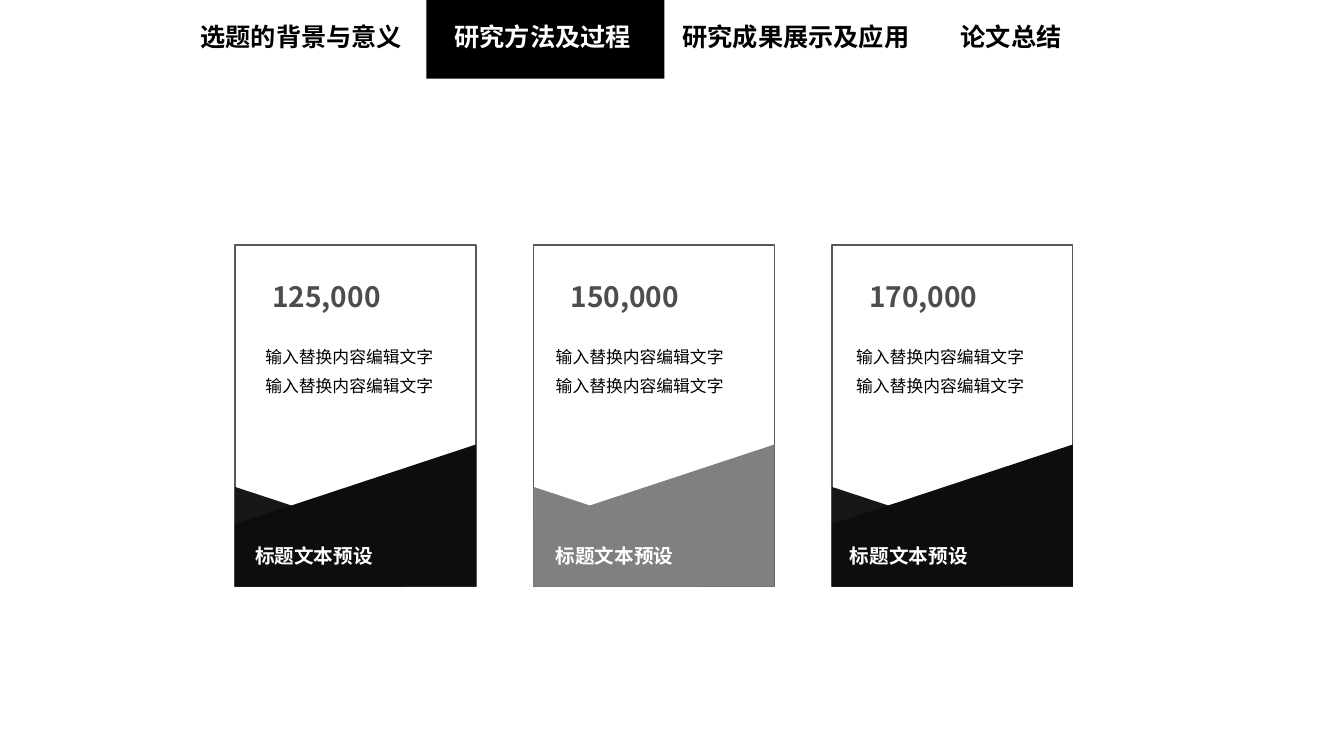
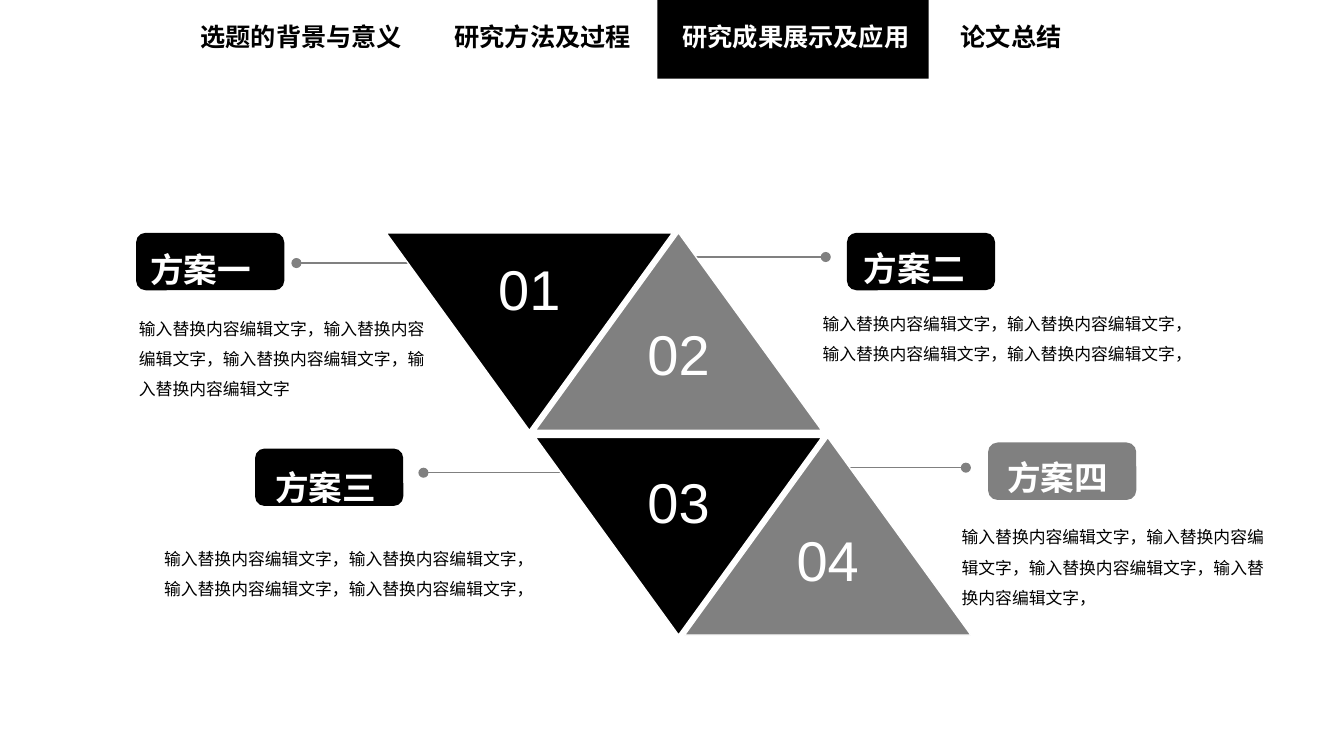
"""Build a two-slide thesis deck: three figure cards and a four-triangle plan."""
from dataclasses import dataclass

from lxml import etree
from pptx import Presentation
from pptx.dml.color import RGBColor
from pptx.enum import shapes, text
from pptx.oxml import ns
from pptx.util import Inches, Pt

PHRASE = "输入替换内容编辑文字"
SENTENCE = "，".join([PHRASE] * 4)

TABS = [
    {"label": "选题的背景与意义", "left": 1.89, "width": 2.24},
    {"label": "研究方法及过程", "left": 4.41, "width": 1.97, "band": (4.23, 2.36)},
    {"label": "研究成果展示及应用", "left": 6.67, "width": 2.47, "band": (6.52, 2.69)},
    {"label": "论文总结", "left": 9.43, "width": 1.21},
]

CARDS = [
    {"figure": "125,000", "fold": "181717", "base": "0D0D0D", "title_inset": 0.2, "body_inset": 0.06},
    {"figure": "150,000", "fold": "808080", "base": "808080", "title_inset": 0.22, "body_inset": -0.02},
    {"figure": "170,000", "fold": "181717", "base": "0D0D0D", "title_inset": 0.18, "body_inset": 0},
]
CARD_TITLE = "标题文本预设"
CARD_LEFT, CARD_TOP, CARD_WIDTH, CARD_HEIGHT, CARD_PITCH = 2.33, 2.43, 2.39, 3.39, 2.96
FOLD = [(0, 2.4), (1.67, 2.95), (1.67, 3.39), (0, 3.39)]
BASE = [(2.39, 1.98), (0, 2.77), (0, 3.39), (2.39, 3.39)]

TRIANGLE_WIDTH, TRIANGLE_HEIGHT = 2.84, 1.96
TRIANGLE_LEFT, TRIANGLE_TOP, STEP, ROW_PITCH = 3.83, 2.31, 1.48, 2.03
TRIANGLES = [
    {"label": "01", "column": 0, "row": 0, "drop": 0.17},
    {"label": "02", "column": 1, "row": 0, "drop": 0.81},
    {"label": "03", "column": 1, "row": 1, "drop": 0.25},
    {"label": "04", "column": 2, "row": 1, "drop": 0.82},
]

PLANS = [
    {"name": "方案一", "pill": (1.35, 2.31), "name_at": (1.39, 2.27), "dot": (2.94, 2.61), "reach": 1,
     "body": SENTENCE, "body_at": (1.28, 3.01, 3.12, 0.97)},
    {"name": "方案二", "pill": (8.4, 2.31), "name_at": (8.47, 2.26), "dot": (8.19, 2.55), "reach": -1,
     "body": SENTENCE + "，", "body_at": (8.06, 2.96, 3.8, 0.97)},
    {"name": "方案三", "pill": (2.53, 4.45), "name_at": (2.63, 4.43), "dot": (4.2, 4.69), "reach": 1,
     "body": SENTENCE + "，", "body_at": (1.53, 5.29, 3.8, 1.01)},
    {"name": "方案四", "pill": (9.8, 4.39), "name_at": (9.89, 4.33), "dot": (9.58, 4.64), "reach": -1,
     "body": SENTENCE + "，", "body_at": (9.44, 5.08, 3.23, 1.01), "color": "808080"},
]
PILL_SIZE, NAME_SIZE, DOT = (1.47, 0.57), (1.26, 0.53), 0.1


@dataclass(frozen=True)
class Theme:
    black: str = "000000"
    white: str = "FFFFFF"
    gray: str = "808080"
    frame: str = "53585F"
    figure: str = "4D4E4C"
    chinese: str = "Noto Sans CJK SC"
    latin: str = "Arial"
    body: int = 12
    card_title: int = 14
    tab: int = 18
    card_figure: int = 20
    plan: int = 24
    number: int = 40


THEME = Theme()


def set_values(target, values):
    for name, value in values.items():
        setattr(target, name, value)


def paint(shape, fill=None, line=None):
    shape.shadow.inherit = False
    for part, color in ((shape.fill, fill), (shape.line.fill, line)):
        if color:
            part.solid()
            part.fore_color.rgb = RGBColor.from_string(color)
        else:
            part.background()
    if line:
        shape.line.width = Pt(1)
    return shape


def add_block(slide, kind, box, fill=None, line=None):
    shape = slide.shapes.add_shape(kind, *map(Inches, box))
    return paint(shape, fill, line)


def add_outline(slide, left, top, points, fill):
    corners = [(Inches(left + x), Inches(top + y)) for x, y in points]
    builder = slide.shapes.build_freeform(*corners[0])
    builder.add_line_segments(corners[1:], close=True)
    return paint(builder.convert_to_shape(), fill)


def add_text(slide, box, lines, size, color, bold=False, face=THEME.chinese, frame=None, paragraph_format=None, gap=0):
    text_frame = slide.shapes.add_textbox(*map(Inches, box)).text_frame
    set_values(text_frame, {"word_wrap": True, "auto_size": text.MSO_AUTO_SIZE.SHAPE_TO_FIT_TEXT, **(frame or {})})
    for index, line in enumerate(lines):
        paragraph = text_frame.add_paragraph() if index else text_frame.paragraphs[0]
        set_values(paragraph, paragraph_format or {})
        if index and gap:
            paragraph.space_before = Pt(gap)
        run = paragraph.add_run()
        run.text = line
        set_values(run.font, {"size": Pt(size), "bold": bold, "name": face})
        run.font.color.rgb = RGBColor.from_string(color)
        east_asian = etree.SubElement(run.font._element, ns.qn("a:ea"))
        east_asian.set("typeface", THEME.chinese)


def add_leader(slide, start, end):
    connector = slide.shapes.add_connector(shapes.MSO_CONNECTOR.STRAIGHT, *map(Inches, start + end))
    connector.line.color.rgb = RGBColor.from_string(THEME.gray)
    connector.line.width = Pt(1)
    etree.SubElement(connector._element.spPr, ns.qn("a:effectLst"))


def add_page(presentation, active):
    slide = presentation.slides.add_slide(presentation.slide_layouts[6])
    band_left, band_width = TABS[active]["band"]
    add_block(slide, shapes.MSO_SHAPE.RECTANGLE, (band_left, -0.01, band_width, 0.79), THEME.black)
    for index, tab in enumerate(TABS):
        color = THEME.white if index == active else THEME.black
        add_text(slide, (tab["left"], 0.16, tab["width"], 0.4), [tab["label"]], THEME.tab, color,
                 bold=True, frame={"word_wrap": False})
    return slide


def add_cards(slide):
    tight = {f"margin_{side}": 0 for side in ("left", "top", "right", "bottom")}
    tight.update(vertical_anchor=text.MSO_ANCHOR.MIDDLE, auto_size=text.MSO_AUTO_SIZE.NONE)
    centered = {"alignment": text.PP_ALIGN.CENTER}
    for index, card in enumerate(CARDS):
        left = CARD_LEFT + index * CARD_PITCH
        add_block(slide, shapes.MSO_SHAPE.RECTANGLE, (left, CARD_TOP, CARD_WIDTH, CARD_HEIGHT), line=THEME.frame)
        add_outline(slide, left, CARD_TOP, FOLD, card["fold"])
        add_outline(slide, left, CARD_TOP, BASE, card["base"])
        add_text(slide, (left + card["title_inset"], 5.37, 1.98, 0.29), [CARD_TITLE],
                 THEME.card_title, THEME.white, bold=True, frame=tight)
        add_text(slide, (left + 0.37, 2.79, 1.52, 0.29), [card["figure"]],
                 THEME.card_figure, THEME.figure, bold=True, frame=tight)
        add_text(slide, (left + card["body_inset"], 3.39, 2.15, 0.59), [PHRASE] * 2,
                 THEME.body, THEME.black, paragraph_format=centered, gap=6)


def add_triangles(slide):
    for index, triangle in enumerate(TRIANGLES):
        left = TRIANGLE_LEFT + triangle["column"] * STEP
        top = TRIANGLE_TOP + triangle["row"] * ROW_PITCH
        points_down = index % 2 == 0
        shape = add_block(slide, shapes.MSO_SHAPE.ISOSCELES_TRIANGLE, (left, top, TRIANGLE_WIDTH, TRIANGLE_HEIGHT),
                          THEME.black if points_down else THEME.gray, THEME.white)
        shape.rotation = 180 if points_down else 0
        add_text(slide, (left + (TRIANGLE_WIDTH - 0.83) / 2, top + triangle["drop"], 0.83, 0.77),
                 [triangle["label"]], THEME.number, THEME.white, face=THEME.latin,
                 frame={"word_wrap": False}, paragraph_format={"alignment": text.PP_ALIGN.CENTER})


def add_plans(slide):
    spaced = {"line_spacing": 1.5}
    for plan in PLANS:
        x, y = plan["dot"]
        add_leader(slide, (x, y), (x + plan["reach"] * STEP, y))
        add_block(slide, shapes.MSO_SHAPE.OVAL, (x - DOT / 2, y - DOT / 2, DOT, DOT), THEME.gray)
        add_block(slide, shapes.MSO_SHAPE.ROUNDED_RECTANGLE, plan["pill"] + PILL_SIZE,
                  plan.get("color", THEME.black))
        add_text(slide, plan["name_at"] + NAME_SIZE, [plan["name"]], THEME.plan, THEME.white, bold=True,
                 face=THEME.latin, frame={"margin_top": 0, "margin_bottom": 0}, paragraph_format=spaced)
        add_text(slide, plan["body_at"], [plan["body"]], THEME.body, THEME.black, paragraph_format=spaced)


def main():
    presentation = Presentation()
    set_values(presentation, {"slide_width": Inches(13.33), "slide_height": Inches(7.5)})
    add_cards(add_page(presentation, active=1))
    plan_slide = add_page(presentation, active=2)
    add_plans(plan_slide)
    add_triangles(plan_slide)
    presentation.save("out.pptx")


if __name__ == "__main__":
    main()
